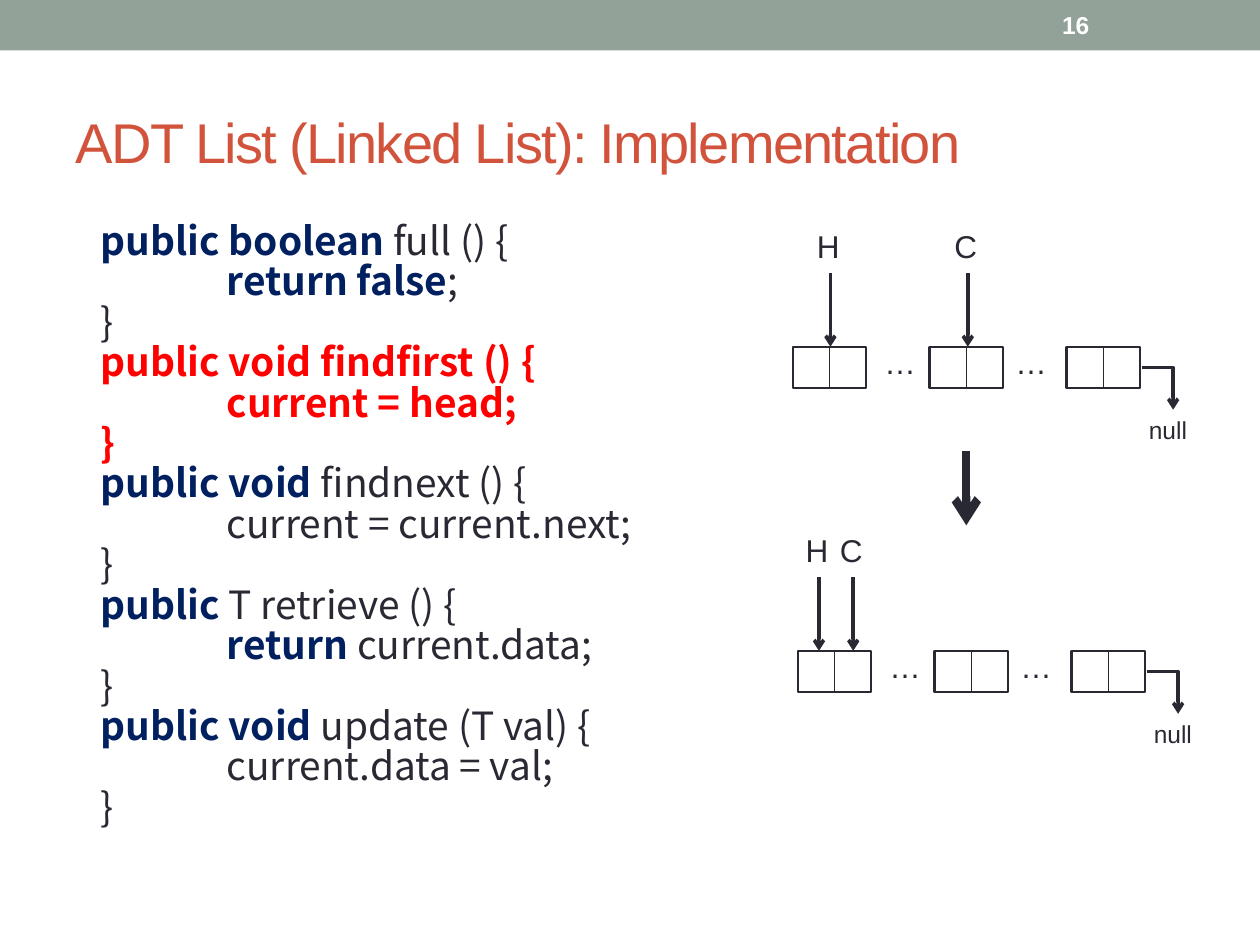
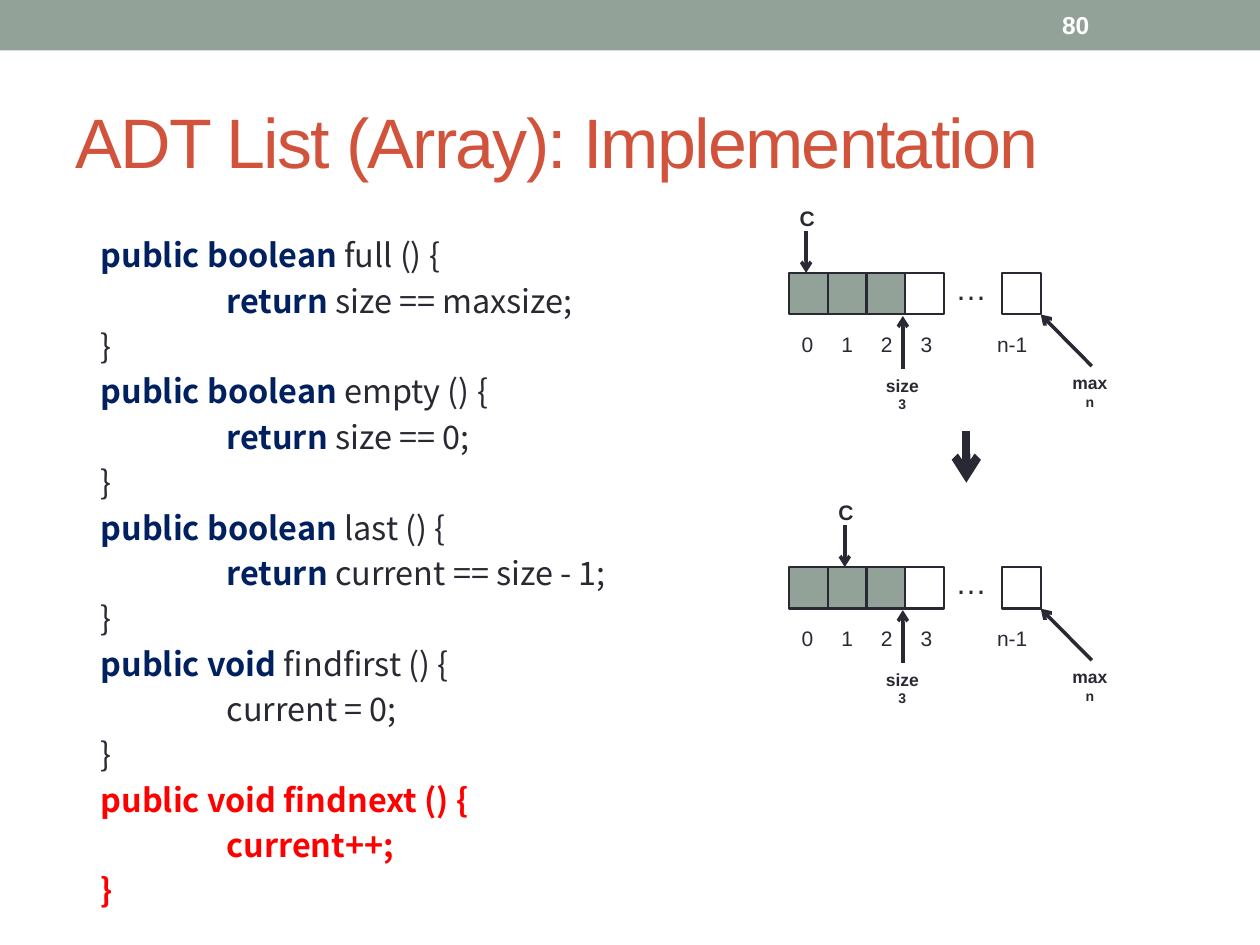
"""Builds two slides on list implementations: code on the left, diagrams on the right."""
from dataclasses import dataclass

from lxml.etree import SubElement
from pptx import Presentation
from pptx.dml.color import RGBColor
from pptx.enum.shapes import MSO_CONNECTOR, MSO_SHAPE
from pptx.enum.text import MSO_ANCHOR, MSO_AUTO_SIZE, PP_ALIGN
from pptx.oxml.ns import qn
from pptx.util import Cm, Pt


@dataclass(frozen=True)
class Theme:
    """Colours, fonts and type sizes of the deck."""
    sage: str = "93A299"
    white: str = "FFFFFF"
    ink: str = "292934"
    rust: str = "D2533C"
    navy: str = "002060"
    red: str = "FF0000"
    sans: str = "Arial"
    code: str = "Noto Sans CJK SC"
    symbol: float = 18
    number: float = 14
    index: float = 12
    caption: float = 10
    value: float = 8


T = Theme()

LINKED_CODE = [
    ("public boolean ", "full () {", "return false", ";"),
    ("public void findfirst () {", "", "current = head;", ""),
    ("public void ", "findnext () {", "", "current = current.next;"),
    ("public", " T retrieve () {", "return ", "current.data;"),
    ("public void ", "update (T val) {", "", "current.data = val;"),
]
ARRAY_CODE = [
    ("public boolean ", "full () {", "return", " size == maxsize;"),
    ("public boolean ", "empty () {", "return", " size == 0;"),
    ("public boolean ", "last () {", "return", " current == size - 1;"),
    ("public void ", "findfirst () {", "", "current = 0;"),
    ("public void findnext () {", "", "current++;", ""),
]


def add_run(p, text, size, color=T.ink, bold=False, name=T.sans):
    """Append a formatted run to a paragraph."""
    r = p.add_run()
    r.text = text
    for key, val in {"size": Pt(size), "bold": bold, "name": name}.items():
        setattr(r.font, key, val)
    r.font.color.rgb = RGBColor.from_string(color)
    return r


def add_box(s, x, y, w, h, fill, line=None):
    """Add a flat rectangle."""
    sp = s.shapes.add_shape(MSO_SHAPE.RECTANGLE, Cm(x), Cm(y), Cm(w), Cm(h))
    sp.shadow.inherit = False
    sp.fill.solid()
    sp.fill.fore_color.rgb = RGBColor.from_string(fill)
    if line:
        sp.line.color.rgb = RGBColor.from_string(line)
        sp.line.width = Pt(1.25)
    else:
        sp.line.fill.background()


def add_line(s, x1, y1, x2, y2, width=2, arrow=True, bent=False):
    """Add a straight or one-bend line, with an arrowhead at its end if wanted."""
    kind = MSO_CONNECTOR.ELBOW if bent else MSO_CONNECTOR.STRAIGHT
    c = s.shapes.add_connector(kind, Cm(x1), Cm(y1), Cm(x2), Cm(y2))
    c.line.color.rgb = RGBColor.from_string(T.ink)
    c.line.width = Pt(width)
    pr = c._element.spPr
    if bent:
        pr.find(qn("a:prstGeom")).set("prst", "bentConnector2")
    if arrow:
        SubElement(pr.find(qn("a:ln")), qn("a:tailEnd")).set("type", "arrow")
    SubElement(pr, qn("a:effectLst"))


def add_label(s, x, y, w, h, text, size, bold=False, value=None):
    """Add a one-line label, with a small centred value below if given."""
    tf = s.shapes.add_textbox(Cm(x), Cm(y), Cm(w), Cm(h)).text_frame
    tf.word_wrap = False
    tf.auto_size = MSO_AUTO_SIZE.SHAPE_TO_FIT_TEXT
    add_run(tf.paragraphs[0], text, size, bold=bold)
    if value:
        p = tf.add_paragraph()
        p.alignment = PP_ALIGN.CENTER
        add_run(p, value, T.value, bold=bold)


def add_slide(prs, title, size, number):
    """Add a slide with its band, title and number."""
    s = prs.slides.add_slide(prs.slide_layouts[5])
    add_box(s, 0, 0, 25.4, 1.02, T.sage)
    sp = s.shapes.title
    place = {"left": 1.27, "top": 1.47, "width": 22.86, "height": 2.74}
    for key, val in place.items():
        setattr(sp, key, Cm(val))
    tf = sp.text_frame
    tf.auto_size = MSO_AUTO_SIZE.NONE
    tf.vertical_anchor = MSO_ANCHOR.MIDDLE
    p = tf.paragraphs[0]
    p.alignment = PP_ALIGN.LEFT
    r = add_run(p, title, size, T.rust)
    r.font._element.set("spc", "-100")
    tf = s.shapes.add_textbox(Cm(21.16), Cm(0.05), Cm(2.97), Cm(0.91)).text_frame
    tf.word_wrap = True
    tf.vertical_anchor = MSO_ANCHOR.MIDDLE
    add_run(tf.paragraphs[0], number, T.number, T.white, True)
    return s


def add_code(s, methods, size, pitch, inset, hot):
    """Write three-line methods, with the method at index hot in red."""
    tf = s.shapes.add_textbox(Cm(1.27), Cm(4.45), Cm(22.86), Cm(13.54)).text_frame
    tf.word_wrap = True
    tf.margin_top = Cm(inset)
    lines = []
    for i, (head, sign, key, body) in enumerate(methods):
        close = ("}", "") if i == hot else ("", "}")
        accent = T.red if i == hot else T.navy
        lines += [(0.51, accent, head, sign), (3.05, accent, key, body),
                  (0.51, accent, *close)]
    for i, (indent, accent, strong, plain) in enumerate(lines):
        p = tf.add_paragraph() if i else tf.paragraphs[0]
        p.line_spacing = Pt(pitch)
        p._p.get_or_add_pPr().set("marL", str(Cm(indent)))
        if strong:
            add_run(p, strong, size, accent, True, T.code)
        if plain:
            add_run(p, plain, size, name=T.code)


def add_linked_list(s, x, y, pointers):
    """Draw three linked nodes, the null end and the named pointers."""
    w, h, pitch = 1.48, 0.84, 2.76
    for i in range(3):
        left = x + i * pitch
        add_box(s, left, y, w, h, T.white, T.ink)
        add_line(s, left + w / 2, y, left + w / 2, y + h, 0.75, False)
    for i in range(2):
        add_label(s, x + 1.6 + i * 2.64, y - 0.2, 1.14, 1.02, "…", T.symbol)
    add_line(s, x + 7.04, y + h / 2, x + 7.67, y + 1.27, bent=True)
    add_label(s, x + 6.93, y + 1.26, 1.42, 0.86, "null", T.number)
    for name, dx in pointers.items():
        add_line(s, x + dx, y - 1.48, x + dx, y)
        add_label(s, x + dx - 0.52, y - 2.54, 0.99, 1.02, name, T.symbol)


def add_array(s, x, y, current, size=3):
    """Draw an array with its indexes, size, maximum and current pointer."""
    w, h, last = 0.78, 0.84, 4.29
    for i in range(4):
        add_box(s, x + i * w, y, w, h, T.sage if i < size else T.white, T.ink)
        add_label(s, x + i * 0.8, y + 1.05, w, 0.76, str(i), T.index)
    add_box(s, x + last, y, w, h, T.white, T.ink)
    add_label(s, x + 3.94, y + 1.05, 1.35, 0.76, "n-1", T.index)
    add_label(s, x + 3.1, y - 0.2, 1.14, 1.02, "…", T.symbol)
    cx = x + 0.34 + current * w
    add_line(s, cx, y - 0.84, cx, y)
    add_label(s, cx - 0.38, y - 1.49, 0.81, 0.76, "C", T.index, True)
    add_line(s, x + 2.29, y + 1.93, x + 2.29, y + 0.87)
    add_label(s, x + 1.7, y + 1.93, 1.19, 1.02, "size", T.caption, True, str(size))
    add_line(s, x + 6.1, y + 1.88, x + last + w, y + h)
    add_label(s, x + 5.46, y + 1.88, 1.27, 1.02, "max", T.caption, True, "n")


def main():
    """Build and save the deck."""
    prs = Presentation()
    prs.slide_width, prs.slide_height = Cm(25.4), Cm(19.05)

    s = add_slide(prs, "ADT List (Linked List): Implementation", 32, "16")
    add_code(s, LINKED_CODE, 22.2, 23.1, 0.04, hot=1)
    add_linked_list(s, 15.98, 6.99, {"H": 0.76, "C": 3.53})
    add_line(s, 19.48, 9.09, 19.48, 10.59, 4.75)
    add_linked_list(s, 16.08, 13.12, {"H": 0.43, "C": 1.12})

    s = add_slide(prs, "ADT List (Array): Implementation", 40, "80")
    add_code(s, ARRAY_CODE, 18.5, 25.9, 0.17, hot=4)
    add_array(s, 15.91, 5.5, current=0)
    add_line(s, 19.48, 8.69, 19.48, 9.73, 4.75)
    add_array(s, 15.91, 11.43, current=1)

    prs.save("out.pptx")


main()
